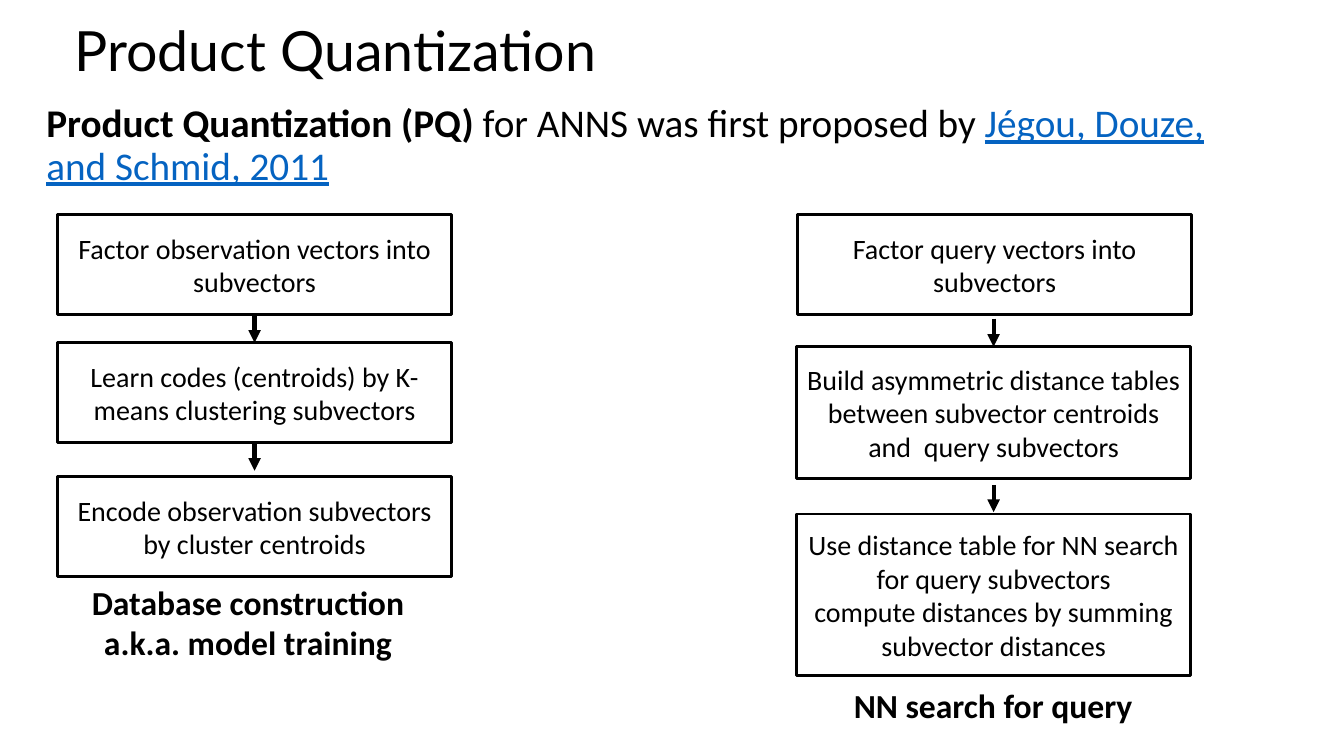
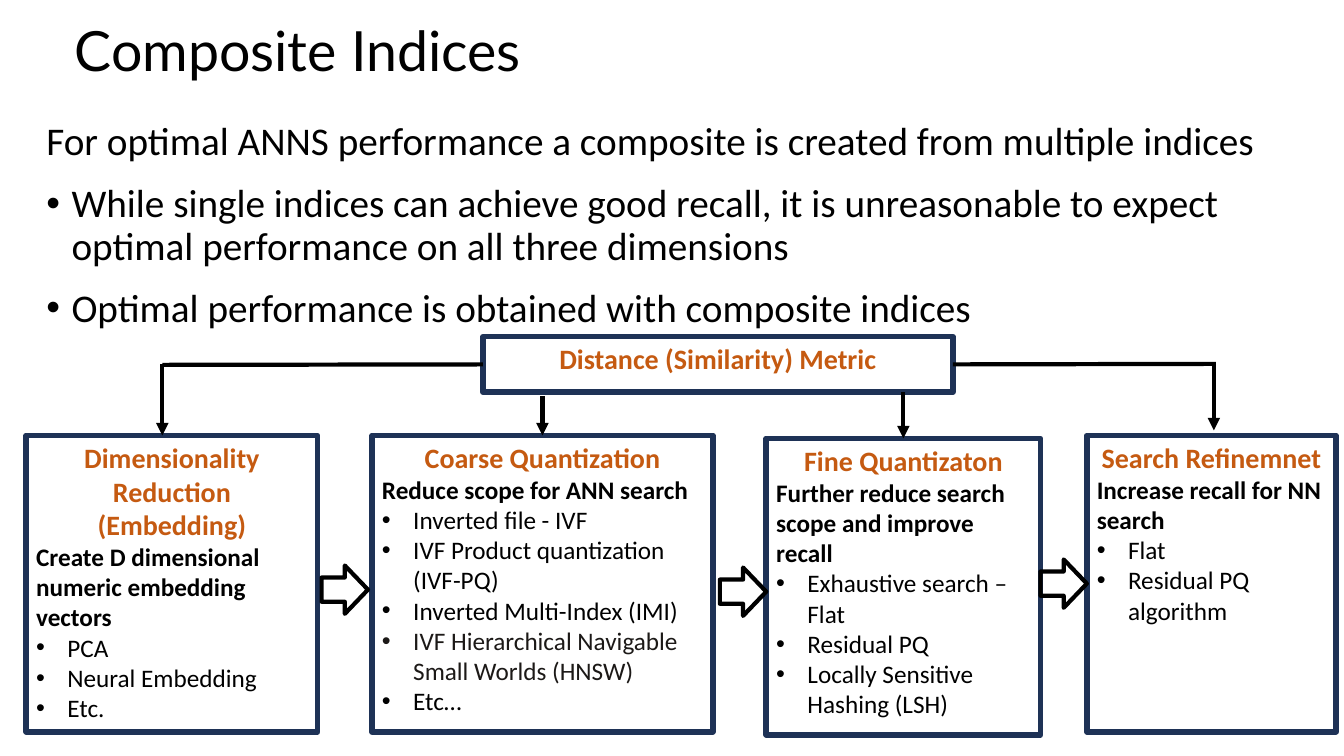
"""Build two slides on product quantization and composite indices."""
from dataclasses import dataclass

from lxml.etree import SubElement
from pptx import Presentation
from pptx.dml.color import RGBColor
from pptx.enum.shapes import MSO_CONNECTOR as Wire, MSO_SHAPE as Form
from pptx.enum.text import MSO_ANCHOR as Anchor, MSO_AUTO_SIZE as Auto, PP_ALIGN as Align
from pptx.oxml.ns import qn
from pptx.util import Inches, Pt


@dataclass(frozen=True)
class Theme:
    face: str = "Calibri"
    title_face: str = "Lato"
    black: str = "000000"
    soft: str = "1C1917"
    blue: str = "0563C1"
    navy: str = "1E3256"
    rust: str = "C55A11"
    title: float = 39.6
    body: int = 28
    label: int = 24
    head: int = 20
    item: int = 18


LOOK = Theme()
TOP, LEFT, BOTTOM, RIGHT = range(4)


@dataclass
class Line:
    text: str
    size: float = LOOK.head
    color: str = LOOK.black
    bold: bool = False
    align: Align = Align.LEFT
    indent: float = 0
    face: str = LOOK.face


def ink(run, line):
    font = run.font
    font.name, font.size, font.bold = line.face, Pt(line.size), line.bold
    font.color.rgb = RGBColor.from_string(line.color)


def bullet(par, indent):
    props = par._p.get_or_add_pPr()
    props.set("marL", str(Inches(indent)))
    props.set("indent", str(Inches(-indent)))
    if indent:
        SubElement(props, qn("a:buFont"), typeface="Arial")
        SubElement(props, qn("a:buChar"), char="•")
    else:
        SubElement(props, qn("a:buNone"))


def write(frame, lines, spacing=1.0, gap=0):
    frame.word_wrap = True
    frame.text = "\n".join(line.text for line in lines)
    for spot, (par, line) in enumerate(zip(frame.paragraphs, lines)):
        bullet(par, line.indent)
        par.alignment, par.line_spacing = line.align, spacing
        par.space_before = Pt(gap if spot else 0)
        for run in par.runs:
            ink(run, line)


def place(shape, area):
    shape.left, shape.top, shape.width, shape.height = map(Inches, area)


def page(deck, title, area, lines):
    slide = deck.slides.add_slide(deck.slide_layouts[1])
    head, body = slide.placeholders
    place(head, (0.64, 0.24, 11.5, 0.58))
    place(body, area)
    for holder, anchor in ((head, Anchor.MIDDLE), (body, Anchor.TOP)):
        holder.text_frame.auto_size = Auto.NONE
        holder.text_frame.vertical_anchor = anchor
    write(head.text_frame, [Line(title, LOOK.title, face=LOOK.title_face)], 0.9)
    write(body.text_frame, lines, 0.9, 14)
    return slide, body.text_frame


def box(slide, area, lines=(), color=LOOK.black, width=2, anchor=Anchor.MIDDLE, form=Form.RECTANGLE):
    shape = slide.shapes.add_shape(form, *map(Inches, area))
    shape.shadow.inherit = False
    shape.fill.background()
    shape.line.color.rgb = RGBColor.from_string(color)
    shape.line.width = Pt(width)
    shape.text_frame.vertical_anchor = anchor
    if lines:
        write(shape.text_frame, lines)
    return shape


def label(slide, area, texts):
    frame = slide.shapes.add_textbox(*map(Inches, area)).text_frame
    write(frame, [Line(text, LOOK.label, bold=True, align=Align.CENTER) for text in texts])


def link(slide, start, end, head=True, src=None, dst=None):
    wire = slide.shapes.add_connector(Wire.STRAIGHT, *map(Inches, start + end))
    wire.line.color.rgb = RGBColor.from_string(LOOK.black)
    wire.line.width = Pt(3)
    if head:
        SubElement(wire.line._get_or_add_ln(), qn("a:tailEnd"), type="triangle")
    SubElement(wire._element.spPr, qn("a:effectLst"))
    if src:
        wire.begin_connect(*src)
    if dst:
        wire.end_connect(*dst)


def step(slide, area, *texts):
    return box(slide, area, [Line(text, align=Align.CENTER) for text in texts])


def card(slide, area, title, lead="", items=()):
    lines = [Line(title, color=LOOK.rust, bold=True, align=Align.CENTER)]
    if lead:
        lines.append(Line(lead, LOOK.item, bold=True))
    for item in items:
        tint = LOOK.soft if "HNSW" in item else LOOK.black
        lines.append(Line(item, LOOK.item, tint, indent=0.31))
    return box(slide, area, lines, LOOK.navy, 4, Anchor.TOP)


def product(deck):
    lead = Line("Product Quantization (PQ) ", LOOK.body, bold=True)
    slide, frame = page(deck, "Product Quantization", (0.36, 0.98, 12.33, 1.07), [lead])
    rest = (("for ANNS was first proposed by ", LOOK.black, False),
            ("Jégou, Douze, and Schmid, 2011", LOOK.blue, True))
    for text, color, under in rest:
        run = frame.paragraphs[0].add_run()
        run.text = text
        ink(run, Line(text, LOOK.body, color))
        run.font.underline = under

    wide, tall = 3.91, 0.99
    train = [step(slide, (0.57, top, wide, tall), text) for top, text in (
        (2.13, "Factor observation vectors into subvectors"),
        (3.4, "Learn codes (centroids) by K-means clustering subvectors"),
        (4.73, "Encode observation subvectors by cluster centroids"))]
    step(slide, (7.91, 2.13, wide, tall), "Factor query vectors into subvectors")
    build = step(slide, (7.9, 3.44, wide, 1.31),
                 "Build asymmetric distance tables between subvector centroids and  query subvectors")
    step(slide, (7.9, 5.1, wide, 1.6),
         "Use distance table for NN search for query subvectors",
         "compute distances by summing subvector distances")

    mid, far = 0.57 + wide / 2, 7.9 + wide / 2
    link(slide, (mid, 3.12), (mid, 3.4), src=(train[0], BOTTOM), dst=(train[1], TOP))
    link(slide, (mid, 4.39), (mid, 4.67), src=(train[1], BOTTOM))
    link(slide, (far, 3.16), (far, 3.44), dst=(build, TOP))
    link(slide, (far, 4.81), (far, 5.08))
    label(slide, (0.51, 5.72, 3.9, 0.91), ["Database construction", "a.k.a. model training"])
    label(slide, (7.9, 6.75, 3.9, 0.5), ["NN search for query"])


def composite(deck):
    slide, _ = page(deck, "Composite Indices", (0.36, 1.16, 12.33, 2.42), [
        Line("For optimal ANNS performance a composite is created from multiple indices", LOOK.body),
        Line("While single indices can achieve good recall, it is unreasonable to expect "
             "optimal performance on all three dimensions", LOOK.body, indent=0.25),
        Line("Optimal performance is obtained with composite indices", LOOK.body, indent=0.25)])

    tall = 2.94
    card(slide, (0.26, 4.32, 2.89, tall), "Dimensionality Reduction (Embedding)",
         "Create D dimensional numeric embedding vectors", ("PCA", "Neural Embedding", "Etc."))
    coarse = card(slide, (3.69, 4.32, 3.38, tall), "Coarse Quantization",
                  "Reduce scope for ANN search",
                  ("Inverted file - IVF", "IVF Product quantization (IVF-PQ)",
                   "Inverted Multi-Index (IMI)",
                   "IVF Hierarchical Navigable Small Worlds (HNSW)", "Etc…"))
    fine = card(slide, (7.6, 4.35, 2.72, tall), "Fine Quantizaton",
                "Further reduce search scope and improve recall",
                ("Exhaustive search – Flat", "Residual PQ", "Locally Sensitive Hashing (LSH)"))
    card(slide, (10.78, 4.32, 2.47, tall), "Search Refinemnet",
         "Increase recall for NN search", ("Flat", "Residual PQ algorithm"))
    for left, top in ((3.19, 5.61), (7.14, 5.63), (10.32, 5.55)):
        box(slide, (left, top, 0.46, 0.48), width=3, form=Form.RIGHT_ARROW)

    metric = card(slide, (4.79, 3.34, 4.66, 0.55), "Distance (Similarity) Metric")
    link(slide, (5.38, 3.93), (5.38, 4.32), dst=(coarse, TOP))
    link(slide, (8.96, 3.89), (8.96, 4.35), dst=(fine, TOP))
    link(slide, (1.61, 3.61), (1.61, 4.32))
    link(slide, (12.04, 3.61), (12.04, 4.27))
    link(slide, (9.45, 3.61), (12.06, 3.61), False, src=(metric, RIGHT))
    link(slide, (1.61, 3.62), (4.79, 3.61), False, dst=(metric, LEFT))


def main():
    deck = Presentation()
    deck.slide_width, deck.slide_height = Inches(13.33), Inches(7.5)
    product(deck)
    composite(deck)
    deck.save("out.pptx")


if __name__ == "__main__":
    main()
